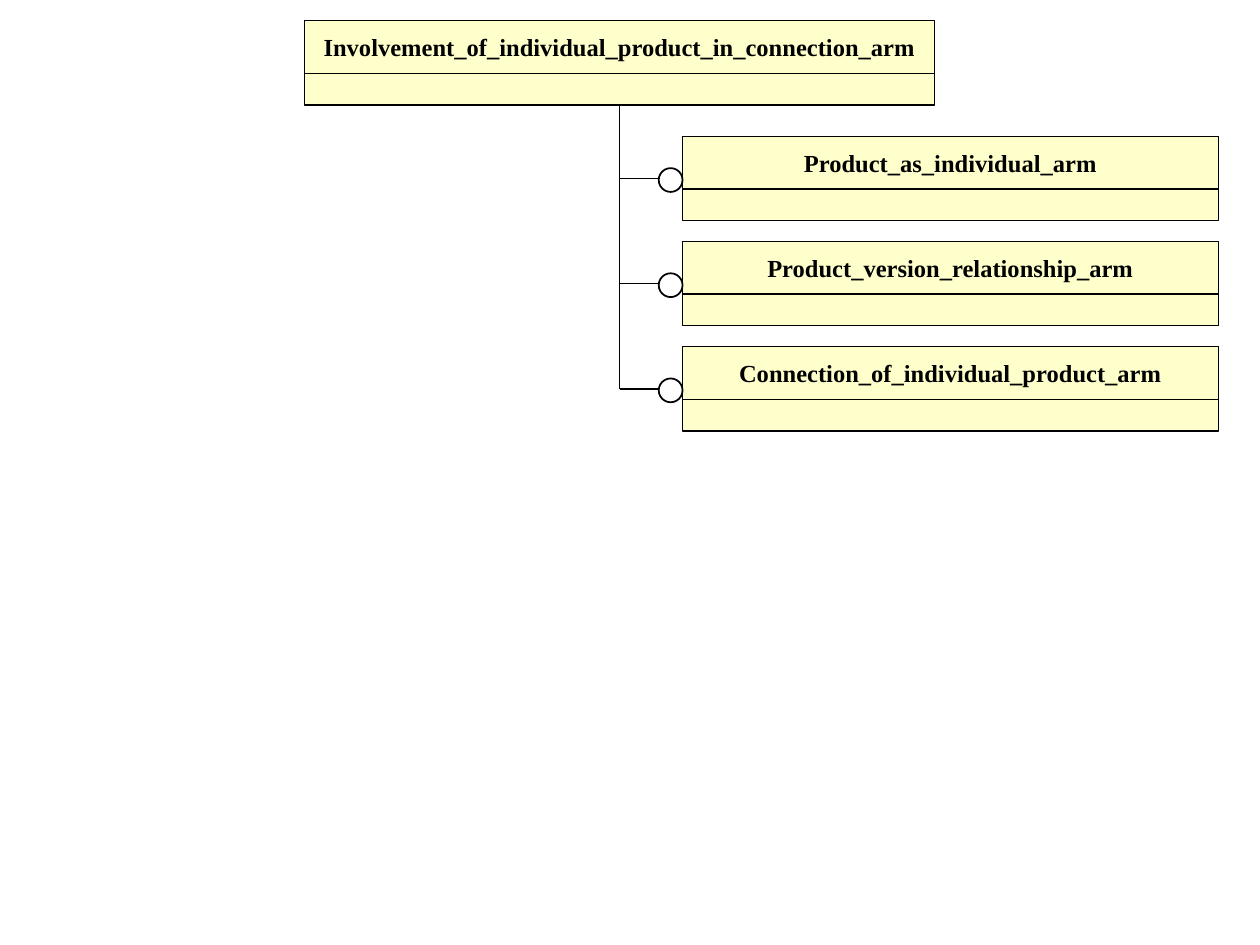
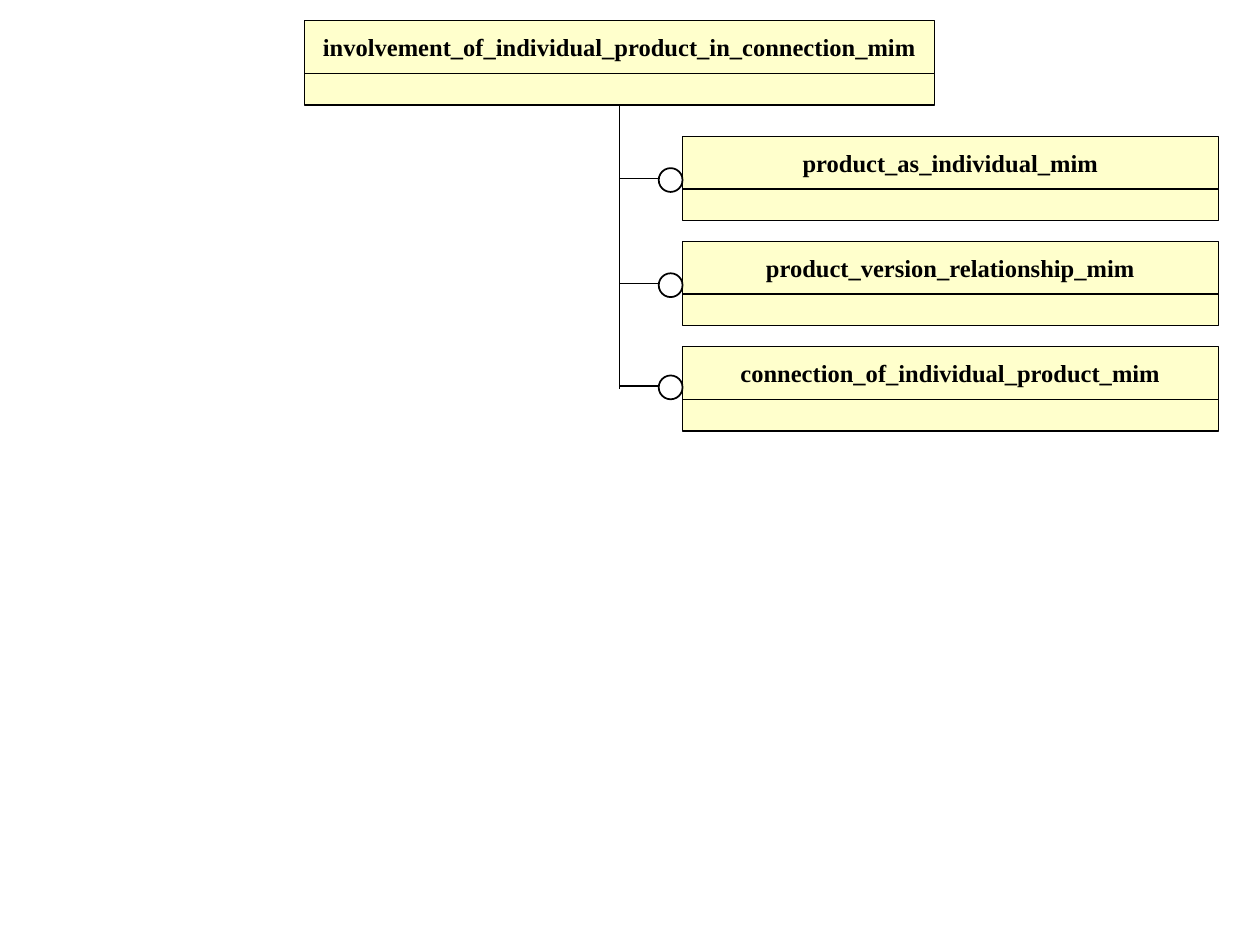
from lxml import etree
from pptx import Presentation
from pptx.dml.color import RGBColor as RGB
from pptx.enum.shapes import MSO_CONNECTOR as CONN, MSO_SHAPE as SHAPE
from pptx.enum.text import MSO_ANCHOR as ANCHOR, PP_ALIGN as ALIGN
from pptx.oxml.ns import qn
from pptx.util import Cm, Pt

COLORS = {"box": "FFFFCC", "circle": "FFFFFF", "ink": "000000"}
FONT = {"name": "Times New Roman", "size": Pt(14), "bold": True}
FRAME = {"word_wrap": False, "vertical_anchor": ANCHOR.MIDDLE}

HEAD_H, BODY_H = 1.06, 0.64
ROOT_X, ROOT_Y, ROOT_W = 6.14, 0.42, 12.7
CHILD_X, CHILD_Y, CHILD_W, PITCH = 13.76, 2.75, 10.8, 2.12
TRUNK_X, BRANCH_END, BRANCH_DROP = 12.49, 13.34, 0.85
CIRCLE_D, CIRCLE_RISE = 0.48, 0.21

SCHEMAS = [
    ("Involvement_of_individual_product_in_connection_arm",
     ["Product_as_individual_arm",
      "Product_version_relationship_arm",
      "Connection_of_individual_product_arm"],
     [0, 0, 0]),
    ("involvement_of_individual_product_in_connection_mim",
     ["product_as_individual_mim",
      "product_version_relationship_mim",
      "connection_of_individual_product_mim"],
     [0, 0, 0.06]),
]


def add_shape(shapes, kind, x, y, w, h, fill, weight, text=""):
    sp = shapes.add_shape(kind, Cm(x), Cm(y), Cm(w), Cm(h))
    sp.shadow.inherit = False
    sp.fill.solid()
    sp.fill.fore_color.rgb = RGB.from_string(COLORS[fill])
    sp.line.color.rgb = RGB.from_string(COLORS["ink"])
    sp.line.width = Pt(weight)
    if text:
        tf = sp.text_frame
        for key, value in FRAME.items():
            setattr(tf, key, value)
        p = tf.paragraphs[0]
        p.alignment = ALIGN.CENTER
        r = p.add_run()
        r.text = text
        for key, value in FONT.items():
            setattr(r.font, key, value)
        r.font.color.rgb = RGB.from_string(COLORS["ink"])


def add_line(shapes, x1, y1, x2, y2):
    ln = shapes.add_connector(CONN.STRAIGHT, Cm(x1), Cm(y1), Cm(x2), Cm(y2))
    ln.line.color.rgb = RGB.from_string(COLORS["ink"])
    ln.line.width = Pt(0.75)
    etree.SubElement(ln._element.spPr, qn("a:effectLst"))


prs = Presentation()
prs.slide_width, prs.slide_height = Cm(25.4), Cm(19.05)

for root, children, lifts in SCHEMAS:
    s = prs.slides.add_slide(prs.slide_layouts[6])
    tops = [CHILD_Y + i * PITCH for i in range(len(children))]

    boxes = [(root, ROOT_X, ROOT_Y, ROOT_W)]
    boxes += [(name, CHILD_X, y, CHILD_W) for name, y in zip(children, tops)]
    for name, x, y, w in boxes:
        grp = s.shapes.add_group_shape()
        add_shape(grp.shapes, SHAPE.RECTANGLE, x, y, w, HEAD_H, "box", 0.75, name)
        add_shape(grp.shapes, SHAPE.RECTANGLE, x, y + HEAD_H, w, BODY_H, "box", 0.75)

    add_line(s.shapes, TRUNK_X, tops[-1] + BRANCH_DROP,
             TRUNK_X, ROOT_Y + HEAD_H + BODY_H)
    for top, lift in zip(tops, lifts):
        y = top + BRANCH_DROP - lift
        add_line(s.shapes, TRUNK_X, y, BRANCH_END, y)
        add_shape(s.shapes, SHAPE.OVAL, CHILD_X - CIRCLE_D, y - CIRCLE_RISE,
                  CIRCLE_D, CIRCLE_D, "circle", 1)

prs.save("out.pptx")
